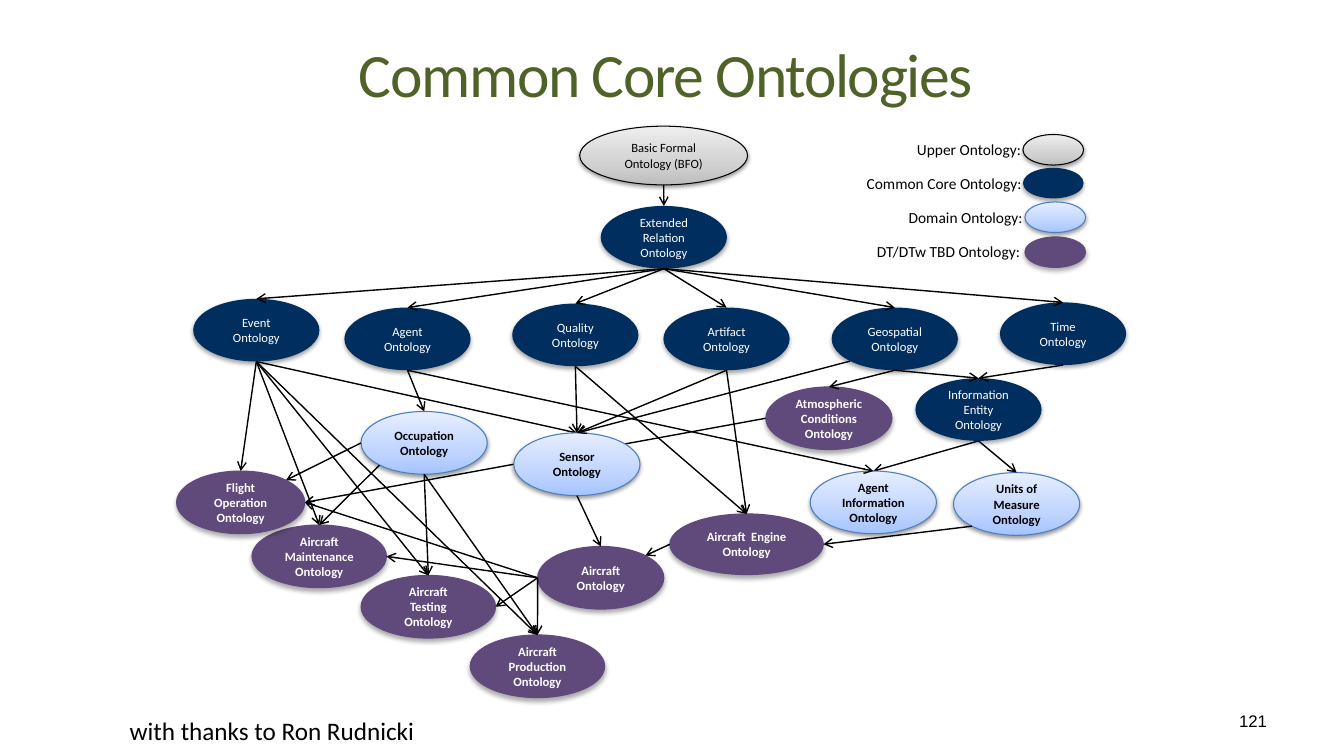
"""Build the Common Core Ontologies slide: a layered ontology graph with a legend."""
from lxml import etree
from pptx import Presentation
from pptx.dml.color import RGBColor
from pptx.enum import shapes, text
from pptx.oxml import ns
from pptx.util import Cm, Pt

KINDS = {
    "upper": dict(stops=["BDBDBD", "D1D1D1", "EEEEEE"], line="000000", font="000000", bold=False, shadow=(38, 3.1, 1.6)),
    "core": dict(fill="002E5F", line=None, font="FFFFFF", bold=False, shadow=(35, 3.1, 1.8)),
    "domain": dict(stops=["A4C4FF", "BFD4FF", "E6EEFF"], line="4B7EBC", font="000000", bold=True, shadow=(38, 3.1, 1.6)),
    "planned": dict(fill="604A7B", line="604A7B", font="FFFFFF", bold=True, shadow=(32, 3.5, 2.2)),
}
WIDTH, HEIGHT = 3.18, 1.58
ONTOLOGIES = {
    "Basic Formal Ontology (BFO)": ("upper", 14.61, 3.18, 4.23, 1.48),
    "Extended Relation Ontology": ("core", 15.14, 5.19, WIDTH, HEIGHT),
    "Time Ontology": ("core", 25.2, 7.62, WIDTH, HEIGHT),
    "Quality Ontology": ("core", 12.91, 7.65, WIDTH, HEIGHT),
    "Information Entity Ontology": ("core", 23.07, 9.53, WIDTH, HEIGHT),
    "Geospatial Ontology": ("core", 20.96, 7.75, WIDTH, HEIGHT),
    "Event Ontology": ("core", 4.87, 7.53, WIDTH, HEIGHT),
    "Artifact Ontology": ("core", 16.72, 7.75, WIDTH, HEIGHT),
    "Agent Ontology": ("core", 8.68, 7.75, WIDTH, HEIGHT),
    "Occupation Ontology": ("domain", 9.1, 10.37, WIDTH, HEIGHT),
    "Units of Measure Ontology": ("domain", 24.03, 11.91, WIDTH, HEIGHT),
    "Sensor Ontology": ("domain", 12.95, 10.91, WIDTH, HEIGHT),
    "Agent Information Ontology": ("domain", 20.42, 11.87, WIDTH, HEIGHT),
    "Atmospheric Conditions Ontology": ("planned", 19.3, 9.75, WIDTH, HEIGHT),
    "Aircraft Maintenance Ontology": ("planned", 6.35, 13.23, 3.39, HEIGHT),
    "Flight Operation Ontology": ("planned", 4.45, 11.87, 3.23, HEIGHT),
    "Aircraft Ontology": ("planned", 13.55, 13.77, WIDTH, HEIGHT),
    "Aircraft  Engine Ontology": ("planned", 16.88, 12.95, 3.87, 1.53),
    "Aircraft Testing Ontology": ("planned", 9.1, 14.5, 3.39, HEIGHT),
    "Aircraft Production Ontology": ("planned", 11.85, 16, 3.39, HEIGHT),
}
LEGEND = [
    ("Upper Ontology:", 22.86, 3.4, 3.15, "upper", 25.78, 3.39),
    ("Common Core Ontology:", 21.59, 4.26, 4.45, "core", 25.78, 4.23),
    ("Domain Ontology:", 22.65, 5.11, 3.4, "domain", 25.83, 5.09),
    ("DT/DTw TBD Ontology:", 21.85, 5.97, 4.19, "planned", 25.83, 5.97),
]
SITES = {
    "top": (0.5, 0), "left": (0, 0.5), "bottom": (0.5, 1), "right": (1, 0.5),
    "top right": (0.854, 0.146), "bottom left": (0.146, 0.854),
}
BACK_ARROWS = [
    ("Atmospheric Conditions", "left", "Flight Operation", "right"),
    ("Information Entity", "bottom", "Agent Information", "top"),
    ("Geospatial", "bottom left", "Sensor", "top"),
    ("Event", "bottom", "Sensor", "top"),
    ("Agent", "bottom", "Occupation", "top"),
]
FRONT_ARROWS = [
    ("Extended Relation", "bottom", "Time", "top"),
    ("Extended Relation", "bottom", "Agent", "top"),
    ("Extended Relation", "bottom", "Artifact", "top"),
    ("Extended Relation", "bottom", "Quality", "top"),
    ("Extended Relation", "bottom", "Event", "top"),
    ("Extended Relation", "bottom", "Geospatial", "top"),
    ("Basic Formal", "bottom", "Extended Relation", "top"),
    ("Geospatial", "bottom", "Information Entity", "top"),
    ("Time", "bottom", "Information Entity", "top"),
    ("Information Entity", "bottom", "Units of Measure", "top"),
    ("Agent", "bottom", "Agent Information", "top"),
    ("Quality", "bottom", "Sensor", "top"),
    ("Artifact", "bottom", "Sensor", "top"),
    ("Artifact", "bottom", "Aircraft  Engine", "top"),
    ("Quality", "bottom", "Aircraft  Engine", "top"),
    ("Units of Measure", "bottom left", "Aircraft  Engine", "right"),
    ("Aircraft  Engine", "left", "Aircraft", "top right"),
    ("Occupation", "bottom left", "Aircraft Maintenance", "top"),
    ("Occupation", "left", "Flight Operation", "top right"),
    ("Event", "bottom", "Flight Operation", "top"),
    ("Aircraft", "left", "Aircraft Production", "top"),
    ("Aircraft", "left", "Aircraft Testing", "right"),
    ("Aircraft", "left", "Aircraft Maintenance", "right"),
    ("Aircraft", "left", "Flight Operation", "right"),
    ("Event", "bottom", "Aircraft Maintenance", "top"),
    ("Occupation", "bottom", "Aircraft Testing", "top"),
    ("Event", "bottom", "Aircraft Testing", "top"),
    ("Occupation", "bottom", "Aircraft Production", "top"),
    ("Event", "bottom", "Aircraft Production", "top"),
    ("Sensor", "bottom", "Aircraft", "top"),
    ("Geospatial", "bottom", "Atmospheric Conditions", "top"),
]


def color(value):
    return RGBColor.from_string(value)


def add_arrow(source, source_site, target, target_site):
    ends = []
    for name, site in ((source, source_site), (target, target_site)):
        key = name + " Ontology" + (" (BFO)" if name == "Basic Formal" else "")
        kind, left, top, width, height = ONTOLOGIES[key]
        across, down = SITES[site]
        ends += [Cm(left + across * width), Cm(top + down * height)]
    arrow = slide.shapes.add_connector(shapes.MSO_CONNECTOR.STRAIGHT, *ends)
    arrow.line.color.rgb = color("000000")
    arrow.line.width = Pt(1)
    etree.SubElement(arrow.line._get_or_add_ln(), ns.qn("a:tailEnd"), type="arrow")
    etree.SubElement(arrow._element.spPr, ns.qn("a:effectLst"))


presentation = Presentation()
presentation.slide_width, presentation.slide_height = Cm(33.87), Cm(19.05)
slide = presentation.slides.add_slide(presentation.slide_layouts[5])

for arrow_ends in BACK_ARROWS:
    add_arrow(*arrow_ends)

title = slide.shapes.title
title.left, title.top, title.width, title.height = Cm(1.7), Cm(0.25), Cm(30.48), Cm(3.18)
title.text_frame.text = "Common Core Ontologies "
title.text_frame.vertical_anchor = text.MSO_ANCHOR.MIDDLE
paragraph = title.text_frame.paragraphs[0]
paragraph.alignment = text.PP_ALIGN.CENTER
run = paragraph.runs[0]
run.font.name, run.font.size = "Calibri", Pt(44)
run.font.color.rgb = color("4F6228")
run._r.get_or_add_rPr().set("spc", "-100")

ellipses = [(name, *details) for name, details in ONTOLOGIES.items()]
ellipses += [("", kind, left, top, 1.53, 0.77) for *label, kind, left, top in LEGEND]
for name, kind, left, top, width, height in ellipses:
    style = KINDS[kind]
    shape = slide.shapes.add_shape(shapes.MSO_SHAPE.OVAL, Cm(left), Cm(top), Cm(width), Cm(height))
    if "stops" in style:
        shape.fill.gradient()
        shape.fill.gradient_angle = 90
        stop_list = shape._element.spPr.find(".//" + ns.qn("a:gsLst"))
        stop_list.clear()
        for position, value in zip((0, 35000, 100000), style["stops"]):
            stop = etree.SubElement(stop_list, ns.qn("a:gs"), pos=str(position))
            etree.SubElement(stop, ns.qn("a:srgbClr"), val=value)
    else:
        shape.fill.solid()
        shape.fill.fore_color.rgb = color(style["fill"])
    if style["line"]:
        shape.line.color.rgb = color(style["line"])
        shape.line.width = Pt(0.75)
    else:
        shape.line.fill.background()
    shape.shadow.inherit = False
    opacity, blur, distance = style["shadow"]
    shadow = etree.SubElement(
        shape._element.spPr.find(ns.qn("a:effectLst")), ns.qn("a:outerShdw"),
        blurRad=str(Pt(blur)), dist=str(Pt(distance)), dir="5400000", rotWithShape="0")
    shade = etree.SubElement(shadow, ns.qn("a:srgbClr"), val="000000")
    etree.SubElement(shade, ns.qn("a:alpha"), val=str(opacity * 1000))
    if name:
        shape.text_frame.text = name
        shape.text_frame.vertical_anchor = text.MSO_ANCHOR.MIDDLE
        paragraph = shape.text_frame.paragraphs[0]
        paragraph.alignment = text.PP_ALIGN.CENTER
        font = paragraph.runs[0].font
        font.name, font.size, font.bold = "Calibri", Pt(9), style["bold"]
        font.color.rgb = color(style["font"])

for arrow_ends in FRONT_ARROWS:
    add_arrow(*arrow_ends)

captions = [(label, left, top, width, 0.73, 11) for label, left, top, width, *swatch in LEGEND]
captions.append(("with thanks to Ron Rudnicki", 3.02, 17.91, 7.77, 1.02, 18))
for caption, left, top, width, height, size in captions:
    box = slide.shapes.add_textbox(Cm(left), Cm(top), Cm(width), Cm(height))
    box.text_frame.text = caption
    box.text_frame.word_wrap = False
    box.text_frame.auto_size = text.MSO_AUTO_SIZE.SHAPE_TO_FIT_TEXT
    font = box.text_frame.paragraphs[0].runs[0].font
    font.name, font.size = "Calibri", Pt(size)
    font.color.rgb = color("000000")

page_number = slide.shapes.add_textbox(Cm(24.28), Cm(17.65), Cm(7.9), Cm(1.02))
page_number.text_frame.text = "121"
page_number.text_frame.word_wrap = True
page_number.text_frame.vertical_anchor = text.MSO_ANCHOR.MIDDLE
paragraph = page_number.text_frame.paragraphs[0]
paragraph.alignment = text.PP_ALIGN.RIGHT
font = paragraph.runs[0].font
font.name, font.size = "Arial", Pt(12)
font.color.rgb = color("000000")

presentation.save("out.pptx")
